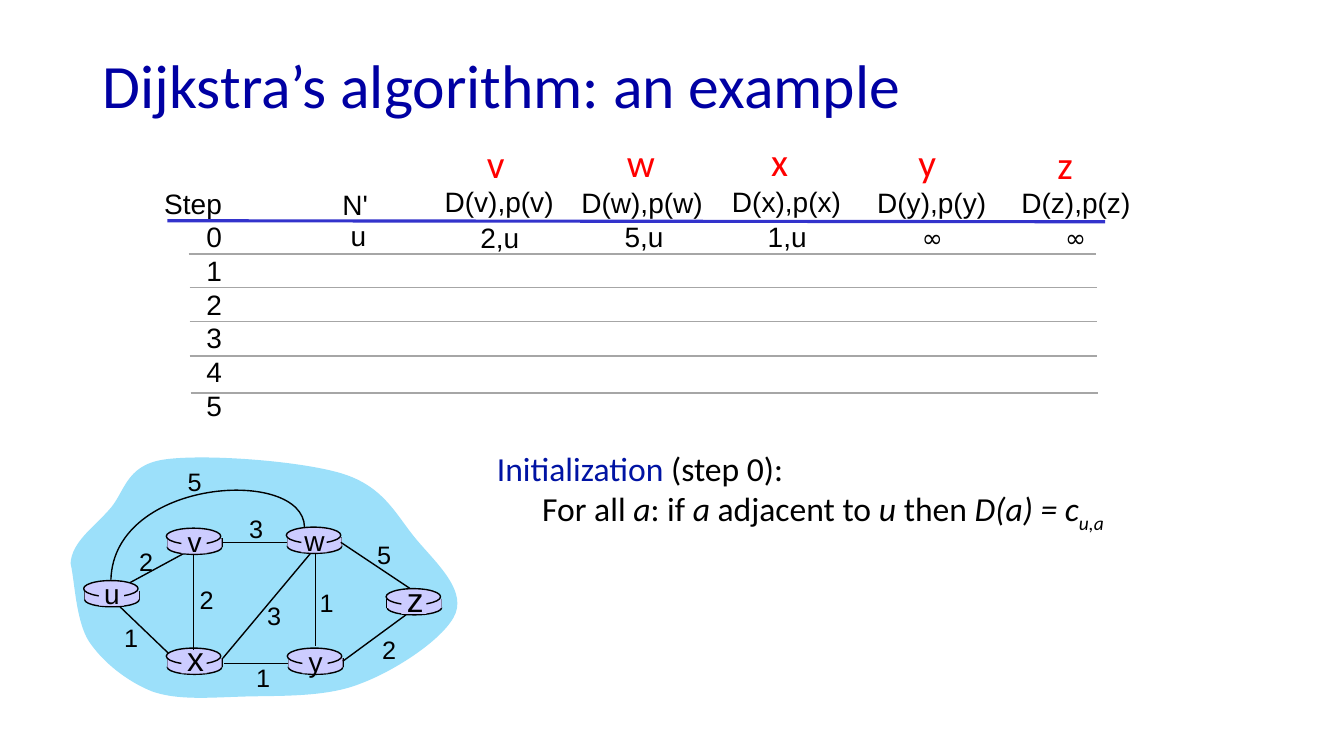
from lxml.etree import SubElement
from pptx import Presentation
from pptx.dml.color import RGBColor
from pptx.enum.shapes import MSO_CONNECTOR, MSO_SHAPE
from pptx.enum.text import MSO_ANCHOR, MSO_AUTO_SIZE, PP_ALIGN
from pptx.oxml.ns import qn
from pptx.util import Inches, Pt

BLACK, RED, NAVY = "000000", "FF0000", "0000A3"
LILAC, CLOUD_BLUE, RULE_BLUE, RULE_GREY = "CCCCFF", "9CE0FA", "3333CC", "A6A6A6"

# Column: node, node left/top, distance left/top, first value, value left/top
COLUMNS = [
    ("v", 4.73, 1.33, 4.30, 1.78, "2,u", 4.66, 2.14),
    ("w", 6.12, 1.32, 5.65, 1.79, "5,u", 6.09, 2.13),
    ("x", 7.55, 1.31, 7.15, 1.78, "1,u", 7.51, 2.13),
    ("y", 9.01, 1.32, 8.59, 1.79, "∞", 9.04, 2.16),
    ("z", 10.39, 1.34, 10.02, 1.79, "∞", 10.46, 2.16),
]
# Rule below a row: left, height on the page
ROW_RULES = [(1.87, 2.52), (1.88, 2.85), (1.88, 3.19), (1.88, 3.53), (1.89, 3.90)]

# Router: name, left, top, label size, label width
ROUTERS = [
    ("u", 0.83, 5.76, 20, 0.36), ("x", 1.65, 6.43, 24, 0.37), ("v", 1.65, 5.24, 20, 0.34),
    ("w", 2.84, 5.23, 20, 0.40), ("y", 2.85, 6.43, 20, 0.34), ("z", 3.83, 5.84, 24, 0.37),
]
EDGE_UV = (1.29, 5.78, 1.88, 5.46)
EDGES = [
    (3.13, 5.50, 3.13, 6.41), (1.92, 5.51, 1.92, 6.45), (2.21, 6.53, 3.08, 5.49),
    (3.40, 6.56, 4.04, 6.09), (2.86, 6.58, 2.22, 6.58), (1.67, 6.48, 1.19, 6.02),
    (2.85, 5.38, 2.21, 5.38), (4.07, 5.84, 3.38, 5.38),
]
# Cost of a link: text, left, top
COSTS = [
    ("2", 1.28, 5.37), ("2", 1.88, 5.75), ("1", 1.13, 6.12), ("3", 2.55, 5.91),
    ("1", 2.44, 6.52), ("1", 3.07, 5.78), ("2", 3.69, 6.24), ("5", 3.64, 5.30),
    ("3", 2.37, 5.04), ("5", 1.76, 4.58),
]
# Start point, then control, control and end of each curve
CLOUD = [
    (0.70, 5.59), (0.71, 5.38), (0.93, 5.23), (1.08, 5.06),
    (1.24, 4.89), (1.24, 4.62), (1.62, 4.56), (2.01, 4.50), (2.98, 4.57), (3.40, 4.70),
    (3.81, 4.83), (3.93, 5.11), (4.12, 5.34), (4.31, 5.57), (4.61, 5.83), (4.52, 6.08),
    (4.43, 6.32), (3.93, 6.65), (3.58, 6.78), (3.24, 6.92), (2.77, 6.90), (2.43, 6.91),
    (2.08, 6.92), (1.77, 6.95), (1.51, 6.86), (1.26, 6.76), (1.02, 6.57), (0.88, 6.36),
    (0.75, 6.15), (0.74, 5.75), (0.70, 5.59),
]
ARC_UW = [(3.02, 5.23), (3.01, 4.63), (1.13, 4.74), (1.10, 5.75)]


def color(value):
    return RGBColor.from_string(value)


def add_span(para, text, size=20, font="Arial", fill=BLACK, italic=False, baseline=0):
    span = para.add_run()
    span.text = text
    span.font.size = Pt(size)
    span.font.name = font
    span.font.italic = italic
    span.font.color.rgb = color(fill)
    if baseline:
        span.font._element.set("baseline", str(baseline * 1000))


def bend(shape):
    """Turn every three straight segments of an outline into one cubic curve."""
    segments = list(shape._element.iter(qn("a:lnTo")))
    for first in range(0, len(segments), 3):
        curve, *others = segments[first:first + 3]
        curve.tag = qn("a:cubicBezTo")
        for other in others:
            curve.append(other[0])
            other.getparent().remove(other)


class PageBuilder:
    def __init__(self, deck):
        self.page = deck.slides.add_slide(deck.slide_layouts[5])
        self.shapes = self.page.shapes

    def title(self, text, left, top, width, height):
        box = self.shapes.title
        box.left, box.top, box.width, box.height = map(Inches, (left, top, width, height))
        frame = box.text_frame
        frame.auto_size = MSO_AUTO_SIZE.NONE
        frame.vertical_anchor = MSO_ANCHOR.MIDDLE
        para = frame.paragraphs[0]
        para.alignment, para.line_spacing = PP_ALIGN.LEFT, 0.9
        add_span(para, text, size=44, font="Calibri", fill=NAVY)

    def text(self, lines, left, top, width, height, align=PP_ALIGN.RIGHT, wrap=False,
             spacing=None, **style):
        """Each line is a string or a list of (text, extra format) pairs."""
        box = self.shapes.add_textbox(*map(Inches, (left, top, width, height)))
        frame = box.text_frame
        frame.word_wrap = wrap
        frame.auto_size = MSO_AUTO_SIZE.SHAPE_TO_FIT_TEXT
        for number, line in enumerate(lines):
            para = frame.add_paragraph() if number else frame.paragraphs[0]
            para.alignment, para.line_spacing = align, spacing
            for text, extra in [(line, {})] if isinstance(line, str) else line:
                add_span(para, text, **{**style, **extra})
        return frame

    def line(self, x1, y1, x2, y2, stroke=BLACK, weight=1):
        line = self.shapes.add_connector(MSO_CONNECTOR.STRAIGHT, *map(Inches, (x1, y1, x2, y2)))
        line.line.color.rgb = color(stroke)
        line.line.width = Pt(weight)
        SubElement(line._element.spPr, qn("a:effectLst"))

    def paint(self, shape, fill, stroke):
        shape.shadow.inherit = False
        if fill:
            shape.fill.solid()
            shape.fill.fore_color.rgb = color(fill)
        else:
            shape.fill.background()
        if stroke:
            shape.line.color.rgb = color(stroke)
            shape.line.width = Pt(1)
        else:
            shape.line.fill.background()

    def shape(self, kind, left, top, width, height, fill=LILAC, stroke=None):
        self.paint(self.shapes.add_shape(kind, *map(Inches, (left, top, width, height))), fill, stroke)

    def curve(self, controls, fill=None, stroke=None):
        start, *rest = [(Inches(x), Inches(y)) for x, y in controls]
        builder = self.shapes.build_freeform(*start)
        builder.add_line_segments(rest, close=fill is not None)
        outline = builder.convert_to_shape()
        bend(outline)
        self.paint(outline, fill, stroke)

    def router(self, left, top):
        self.shape(MSO_SHAPE.OVAL, left + 0.01, top + 0.12, 0.54, 0.14, stroke=BLACK)
        for side in (left + 0.01, left + 0.55):
            self.line(side, top + 0.10, side, top + 0.19)
        self.shape(MSO_SHAPE.RECTANGLE, left + 0.01, top + 0.10, 0.54, 0.09)
        self.shape(MSO_SHAPE.OVAL, left, top, 0.54, 0.16, stroke=BLACK)

    def router_label(self, name, left, top, size, width):
        self.shape(MSO_SHAPE.RECTANGLE, left + 0.15, top + 0.02, 0.25, 0.23)
        center, drop, height = (0.29, 0.15, 0.50) if size == 24 else (0.28, 0.09, 0.43)
        self.text([name], left + center - width / 2, top - drop, width, height,
                  PP_ALIGN.CENTER, size=size)


def main():
    deck = Presentation()
    deck.slide_width, deck.slide_height = Inches(13.33), Inches(7.5)
    page = PageBuilder(deck)
    page.title("Dijkstra’s algorithm: an example", 0.92, 0.39, 12.23, 0.98)

    # Step table
    page.text(["Step"] + [str(step) for step in range(6)], 1.53, 1.80, 0.77, 2.43)
    page.text(["N'"], 3.29, 1.81, 0.46, 0.44)
    page.text(["u"], 3.37, 2.12, 0.36, 0.44)
    page.line(1.66, 2.19, 10.96, 2.20, RULE_BLUE, 2.25)
    for node, left, top, head_left, head_top, value, value_left, value_top in COLUMNS:
        page.text([node], left, top, 0.48 if node == "w" else 0.37, 0.57, PP_ALIGN.LEFT,
                  size=28, font="Calibri", fill=RED)
        page.text([f"D({node}),p({node})"], head_left, head_top, 1.42 if node == "w" else 1.29, 0.44)
        if value == "∞":
            page.text([value], value_left, value_top, 0.41, 0.40, size=18, font="Comic Neue")
        else:
            page.text([value], value_left, value_top, 0.59, 0.44)
    for left, height in ROW_RULES:
        page.line(left, height, left + 9, height, RULE_GREY)

    # Network graph
    page.curve(CLOUD, fill=CLOUD_BLUE)
    page.line(*EDGE_UV)
    for name, left, top, size, width in ROUTERS:
        page.router(left, top)
    for edge in EDGES:
        page.line(*edge)
    page.curve(ARC_UW, stroke=BLACK)
    for router in ROUTERS:
        page.router_label(*router)
    for cost, left, top in COSTS:
        page.text([cost], left, top, 0.34, 0.40, PP_ALIGN.CENTER, size=18)

    # Explanation of step 0
    italic = {"italic": True}
    frame = page.text([
        [("Initialization", {"fill": "0013A3"}), (" (step 0):", {})],
        [("For all ", {}), ("a", italic), (": if ", {}), ("a", italic), (" adjacent to ", {}),
         ("u", italic), (" then ", {}), ("D(a) = c", italic),
         ("u,a", {"italic": True, "baseline": -25})],
    ], 4.83, 4.44, 6.74, 0.83, PP_ALIGN.LEFT, wrap=True, spacing=0.9, size=24, font="Calibri")
    frame.paragraphs[1]._p.get_or_add_pPr().set("marL", str(Inches(0.45)))

    deck.save("out.pptx")


if __name__ == "__main__":
    main()
